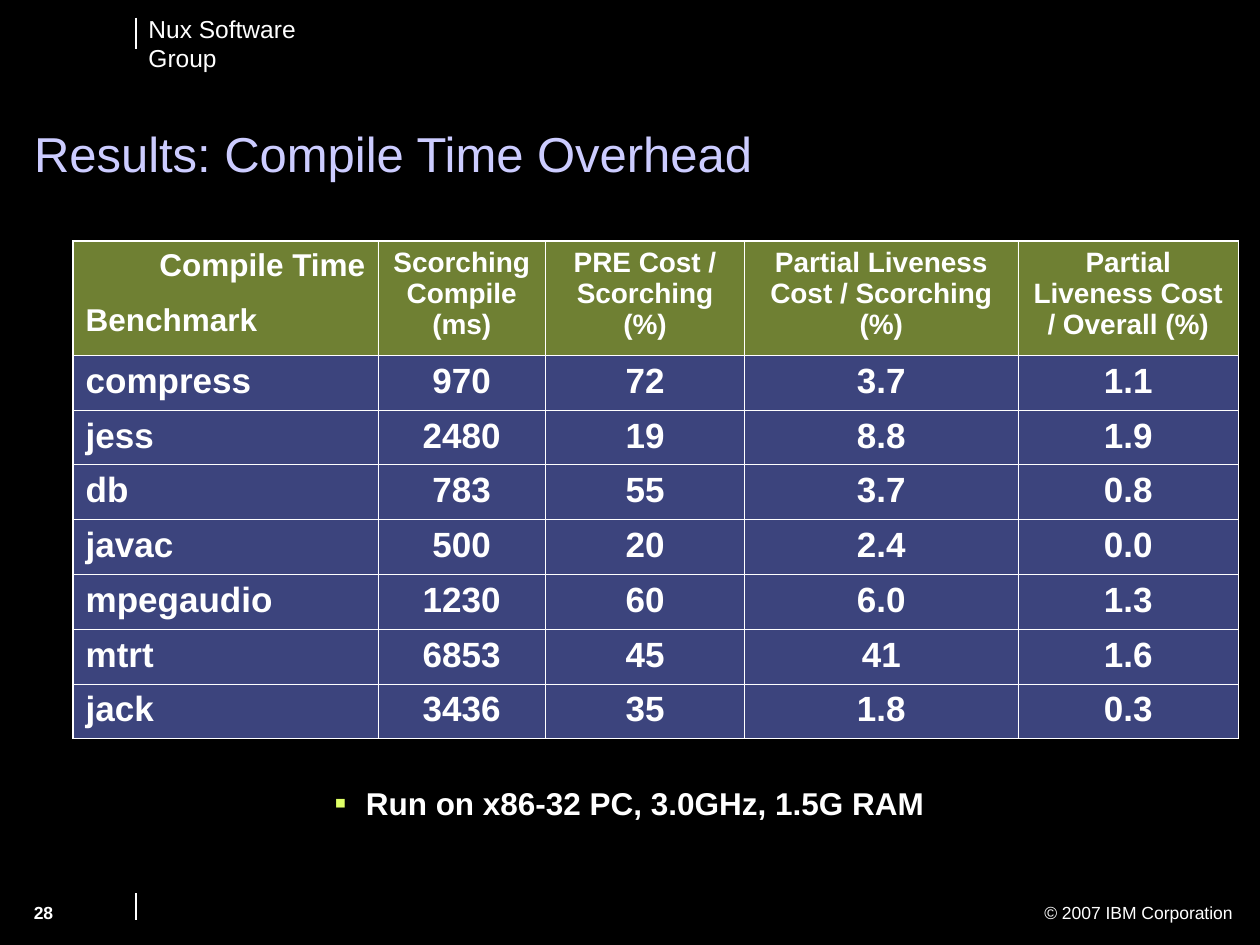
import pptx
import pptx.util
import pptx.dml.color
import pptx.enum.shapes
import pptx.enum.text
import pptx.oxml.ns
import lxml.etree

qn = pptx.oxml.ns.qn
sub = lxml.etree.SubElement
Pt = pptx.util.Pt
RGB = pptx.dml.color.RGBColor.from_string
ALIGN = pptx.enum.text.PP_ALIGN
COLORS = {"back": "000000", "text": "FFFFFF", "title": "CCCCFF",
          "header": "DFFF66", "body": "7889FB"}

prs = pptx.Presentation()
prs.slide_width = pptx.util.Inches(10)
prs.slide_height = pptx.util.Inches(7.5)
unit = prs.slide_width / 100


def grid(*cells):
    return [round(c * unit) for c in cells]


def style(p, size, bold=False, align=ALIGN.LEFT, color="text"):
    p.alignment = align
    for r in p.runs:
        r.font.name = "Arial"
        r.font.size = Pt(size)
        r.font.bold = bold
        r.font.color.rgb = RGB(COLORS[color])


s = prs.slides.add_slide(prs.slide_layouts[5])
s.background.fill.solid()
s.background.fill.fore_color.rgb = RGB(COLORS["back"])

title = s.shapes.title
title.left, title.top, title.width, title.height = grid(1.7, 9.5, 90.2, 5.5)
tf = title.text_frame
tf.text = "Results: Compile Time Overhead"
tf.auto_size = pptx.enum.text.MSO_AUTO_SIZE.NONE
tf.vertical_anchor = pptx.enum.text.MSO_ANCHOR.BOTTOM
tf.paragraphs[0].line_spacing = 0.9
style(tf.paragraphs[0], 28, color="title")

for top, bottom in [(1.4, 3.9), (70.9, 73)]:
    rule = s.shapes.add_connector(pptx.enum.shapes.MSO_CONNECTOR.STRAIGHT,
                                  *grid(10.8, top, 10.8, bottom))
    rule.line.color.rgb = RGB(COLORS["text"])
    rule.line.width = Pt(0.75)
    sub(rule._element.spPr, qn("a:effectLst"))

labels = [
    ("Nux Software Group", (10.8, 0.6, 19.6, 3.4), 14, False, ALIGN.LEFT),
    ("© 2007 IBM Corporation", (62.6, 71.1, 36.2, 2.7), 10, False, ALIGN.RIGHT),
    ("28", (1.7, 71.1, 11, 3.5), 10, True, ALIGN.LEFT),
    ("Run on x86-32 PC, 3.0GHz, 1.5G RAM", (18.3, 61.7, 63.3, 5.8), 18, True, ALIGN.CENTER),
]
for text, box, size, bold, align in labels:
    tf = s.shapes.add_textbox(*grid(*box)).text_frame
    tf.word_wrap = True
    tf.text = text
    p = tf.paragraphs[0]
    style(p, size, bold, align)

pPr = p._p.get_or_add_pPr()
indent = grid(2.5)[0]
pPr.set("marL", str(indent))
pPr.set("indent", str(-indent))
sub(sub(pPr, qn("a:buClr")), qn("a:srgbClr"), val=COLORS["header"])
sub(pPr, qn("a:buSzPct"), val="110000")
sub(pPr, qn("a:buFont"), typeface="Arial")
sub(pPr, qn("a:buChar"), char="▪")

rows = [
    ["Compile Time\nBenchmark", "Scorching Compile (ms)", "PRE Cost / Scorching (%)",
     "Partial Liveness Cost / Scorching (%)", "Partial Liveness Cost / Overall (%)"],
    ["compress", "970", "72", "3.7", "1.1"],
    ["jess", "2480", "19", "8.8", "1.9"],
    ["db", "783", "55", "3.7", "0.8"],
    ["javac", "500", "20", "2.4", "0.0"],
    ["mpegaudio", "1230", "60", "6.0", "1.3"],
    ["mtrt", "6853", "45", "41", "1.6"],
    ["jack", "3436", "35", "1.8", "0.3"],
]
widths = grid(24.2, 13.3, 15.8, 21.7, 17.5)
heights = grid(9.05, *[4.35] * 7)
table = s.shapes.add_table(len(rows), len(widths),
                           *grid(5.8, 19.15), sum(widths), sum(heights)).table
table.first_row = table.horz_banding = False
for column, width in zip(table.columns, widths):
    column.width = width
for row, height in zip(table.rows, heights):
    row.height = height

for i, row in enumerate(rows):
    for j, text in enumerate(row):
        cell = table.cell(i, j)
        cell.text_frame.text = text
        size = 20 if i else 16 if j else 18
        for p in cell.text_frame.paragraphs:
            style(p, size, True, ALIGN.CENTER if j else ALIGN.LEFT)

        tcPr = cell._tc.get_or_add_tcPr()
        edges = {"L": j == 0, "R": j == len(widths) - 1,
                 "T": i == 0, "B": i == len(rows) - 1}
        for side, outer in edges.items():
            ln = sub(tcPr, qn("a:ln" + side), w=str(Pt(1.08 if outer else 0.45)))
            sub(sub(ln, qn("a:solidFill")), qn("a:srgbClr"), val=COLORS["text"])

        cell.fill.solid()
        cell.fill.fore_color.rgb = RGB(COLORS["body" if i else "header"])
        sub(tcPr.find(qn("a:solidFill"))[0], qn("a:alpha"), val="50000")

corner = table.cell(0, 0).text_frame.paragraphs
corner[0].alignment = ALIGN.RIGHT
corner[0].space_after = Pt(3.4)
corner[1].space_before = Pt(7.9)

prs.save("out.pptx")
